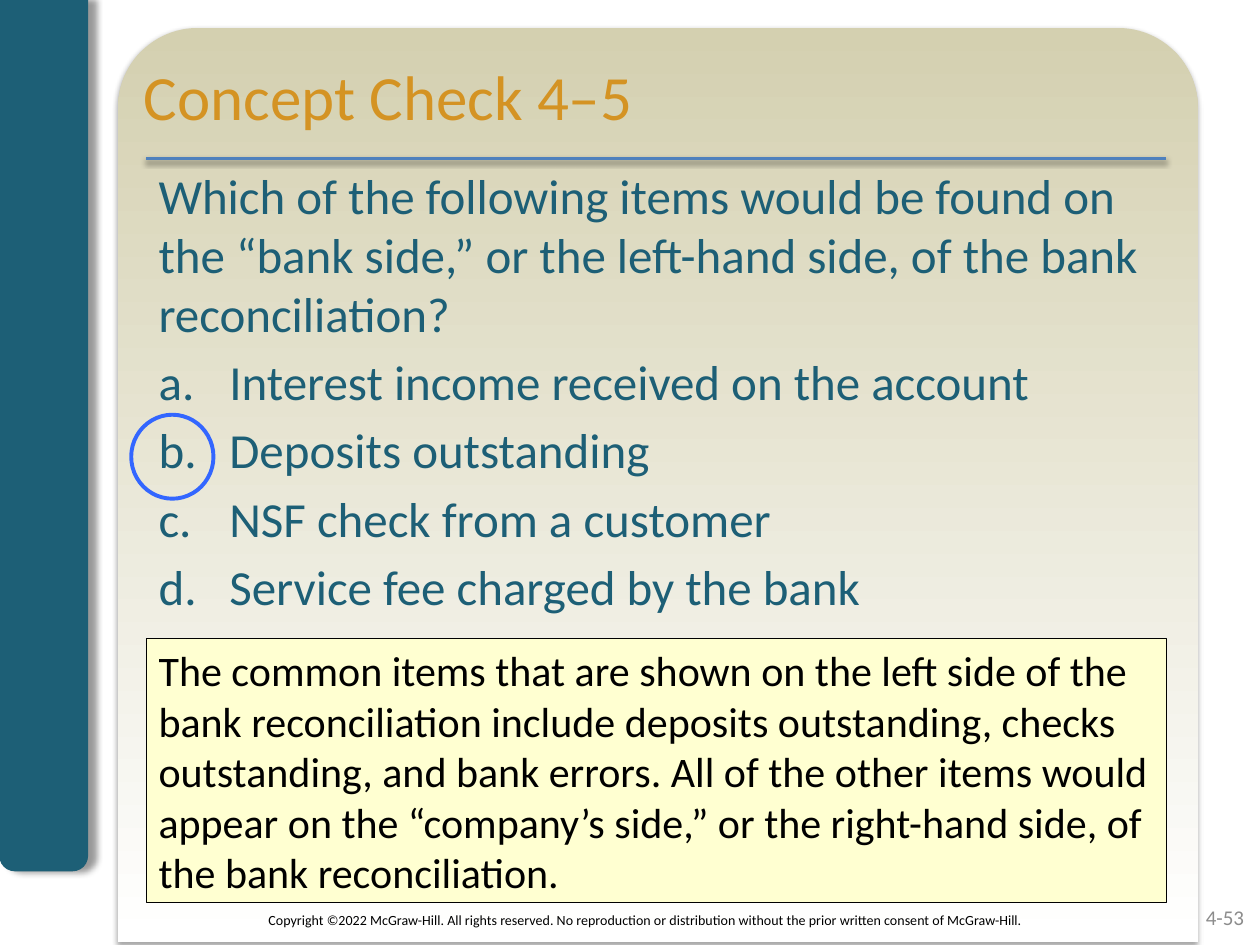
from dataclasses import dataclass

from lxml import etree
from pptx import Presentation
from pptx.dml.color import RGBColor
from pptx.enum import shapes, text
from pptx.oxml import ns
from pptx.util import Pt


@dataclass(frozen=True)
class Theme:
    font: str = "Calibri"
    teal: str = "1D5F76"
    gold: str = "D49323"
    sand: str = "D4D0B0"
    white: str = "FFFFFF"
    black: str = "000000"
    gray: str = "8C8C8C"
    rule: str = "4F81BD"
    ring: str = "3366FF"
    note: str = "FFFFD1"
    title_size: int = 36
    body_size: int = 28
    note_size: int = 24
    number_size: int = 12
    legal_size: int = 8


THEME = Theme()
LEFT, CONTENT_WIDTH = 83.5, 583
LIST_INDENT = 40.5
QUESTION = ("Which of the following items would be found on the “bank side,” "
            "or the left-hand side, of the bank reconciliation?")
ANSWERS = ["Interest income received on the account", "Deposits outstanding",
           "NSF check from a customer", "Service fee charged by the bank"]
EXPLANATION = ("The common items that are shown on the left side of the bank "
               "reconciliation include deposits outstanding, checks outstanding, "
               "and bank errors. All of the other items would appear on the "
               "“company’s side,” or the right-hand side, of the bank reconciliation.")
COPYRIGHT = ("Copyright ©2022 McGraw-Hill. All rights reserved. No reproduction or "
             "distribution without the prior written consent of McGraw-Hill. ")


def color(value):
    return RGBColor.from_string(value)


def add_shadow(shape, opacity, blur, distance, angle):
    properties = shape._element.spPr
    effects = etree.SubElement(properties, ns.qn("a:effectLst"))
    shadow = etree.SubElement(
        effects, ns.qn("a:outerShdw"), blurRad=str(Pt(blur)), dist=str(Pt(distance)),
        dir=str(angle * 60000), rotWithShape="0")
    tint = etree.SubElement(shadow, ns.qn("a:srgbClr"), val=THEME.black)
    etree.SubElement(tint, ns.qn("a:alpha"), val=str(opacity * 1000))


def add_shape(slide, kind, box, fill=None, line=None, width=0.75, corners=None):
    shape = slide.shapes.add_shape(kind, *map(Pt, box))
    if corners:
        shape.adjustments[0], shape.adjustments[1] = corners
    if fill:
        shape.fill.solid()
        shape.fill.fore_color.rgb = color(fill)
    else:
        shape.fill.background()
    if line:
        shape.line.color.rgb = color(line)
        shape.line.width = Pt(width)
    else:
        shape.line.fill.background()
    return shape


def add_run(paragraph, words, size, tint):
    run = paragraph.add_run()
    run.text = words
    run.font.name = THEME.font
    run.font.size = Pt(size)
    run.font.color.rgb = color(tint)


def format_frame(frame, anchor=text.MSO_ANCHOR.TOP):
    frame.word_wrap = True
    frame.auto_size = text.MSO_AUTO_SIZE.NONE
    frame.vertical_anchor = anchor


def add_text_box(slide, box, anchor=text.MSO_ANCHOR.TOP):
    frame = slide.shapes.add_textbox(*map(Pt, box)).text_frame
    format_frame(frame, anchor)
    return frame


def add_footer(slide, box, words, size, tint, alignment):
    paragraph = add_text_box(slide, box, text.MSO_ANCHOR.MIDDLE).paragraphs[0]
    paragraph.alignment = alignment
    add_run(paragraph, words, size, tint)


def add_background(slide):
    rounded = shapes.MSO_SHAPE.ROUND_2_SAME_RECTANGLE

    panel = add_shape(slide, rounded, (67.5, 16, 617, 522.5), corners=(0.087, 0))
    panel.fill.gradient()
    panel.fill.gradient_angle = 270
    for stop, tint, position in zip(panel.fill.gradient_stops,
                                    (THEME.sand, THEME.white), (0, 1)):
        stop.color.rgb = color(tint)
        stop.position = position
    add_shadow(panel, 35, 3.1, 1.8, 90)

    sidebar = add_shape(slide, rounded, (0, 0, 50, 497.5), THEME.teal, THEME.teal,
                        corners=(0, 0.17))
    add_shadow(sidebar, 40, 4, 4, 0)

    rule = slide.shapes.add_connector(
        shapes.MSO_CONNECTOR.STRAIGHT, Pt(LEFT), Pt(90.7), Pt(666), Pt(90.7))
    rule.line.color.rgb = color(THEME.rule)
    rule.line.width = Pt(2)
    add_shadow(rule, 38, 3.1, 1.6, 90)


def add_title(slide, words):
    title = slide.shapes.title
    title.left, title.top, title.width, title.height = map(Pt, (75, 29.5, 623.5, 62.5))
    format_frame(title.text_frame)
    paragraph = title.text_frame.paragraphs[0]
    paragraph.alignment = text.PP_ALIGN.LEFT
    add_run(paragraph, words, THEME.title_size, THEME.gold)
    # Bring the title in front of the background panel
    slide.shapes._spTree.append(title._element)


def add_question(slide):
    frame = add_text_box(slide, (LEFT, 91, CONTENT_WIDTH, 349))
    add_run(frame.paragraphs[0], QUESTION, THEME.body_size, THEME.teal)
    for answer in ANSWERS:
        paragraph = frame.add_paragraph()
        properties = paragraph._p.get_or_add_pPr()
        properties.set("marL", str(Pt(LIST_INDENT)))
        properties.set("indent", str(-Pt(LIST_INDENT)))
        etree.SubElement(properties, ns.qn("a:buFont"), typeface=THEME.font)
        etree.SubElement(properties, ns.qn("a:buAutoNum"), type="alphaLcPeriod")
        paragraph.space_before = Pt(5.5)
        add_run(paragraph, answer, THEME.body_size, THEME.teal)


def add_explanation(slide):
    note = add_shape(slide, shapes.MSO_SHAPE.RECTANGLE, (LEFT, 365, CONTENT_WIDTH, 151),
                     THEME.note, THEME.black, 0.5)
    note.shadow.inherit = False
    format_frame(note.text_frame)
    paragraph = note.text_frame.paragraphs[0]
    paragraph.alignment = text.PP_ALIGN.LEFT
    add_run(paragraph, EXPLANATION, THEME.note_size, THEME.black)


def main():
    presentation = Presentation()
    presentation.slide_width, presentation.slide_height = Pt(720), Pt(540)
    slide = presentation.slides.add_slide(presentation.slide_layouts[5])

    add_background(slide)

    # Question and answers
    add_question(slide)
    add_title(slide, "Concept Check 4–5")

    # Correct answer and its explanation
    ring = add_shape(slide, shapes.MSO_SHAPE.OVAL, (75, 237, 47, 48),
                     line=THEME.ring, width=2.25)
    ring.shadow.inherit = False
    add_explanation(slide)

    # Copyright line and page number
    add_footer(slide, (112.5, 511.5, 515, 28.5), COPYRIGHT, THEME.legal_size,
               THEME.black, text.PP_ALIGN.CENTER)
    add_footer(slide, (550, 510, 168, 28.5), "4-53", THEME.number_size,
               THEME.gray, text.PP_ALIGN.RIGHT)

    presentation.save("out.pptx")


if __name__ == "__main__":
    main()
